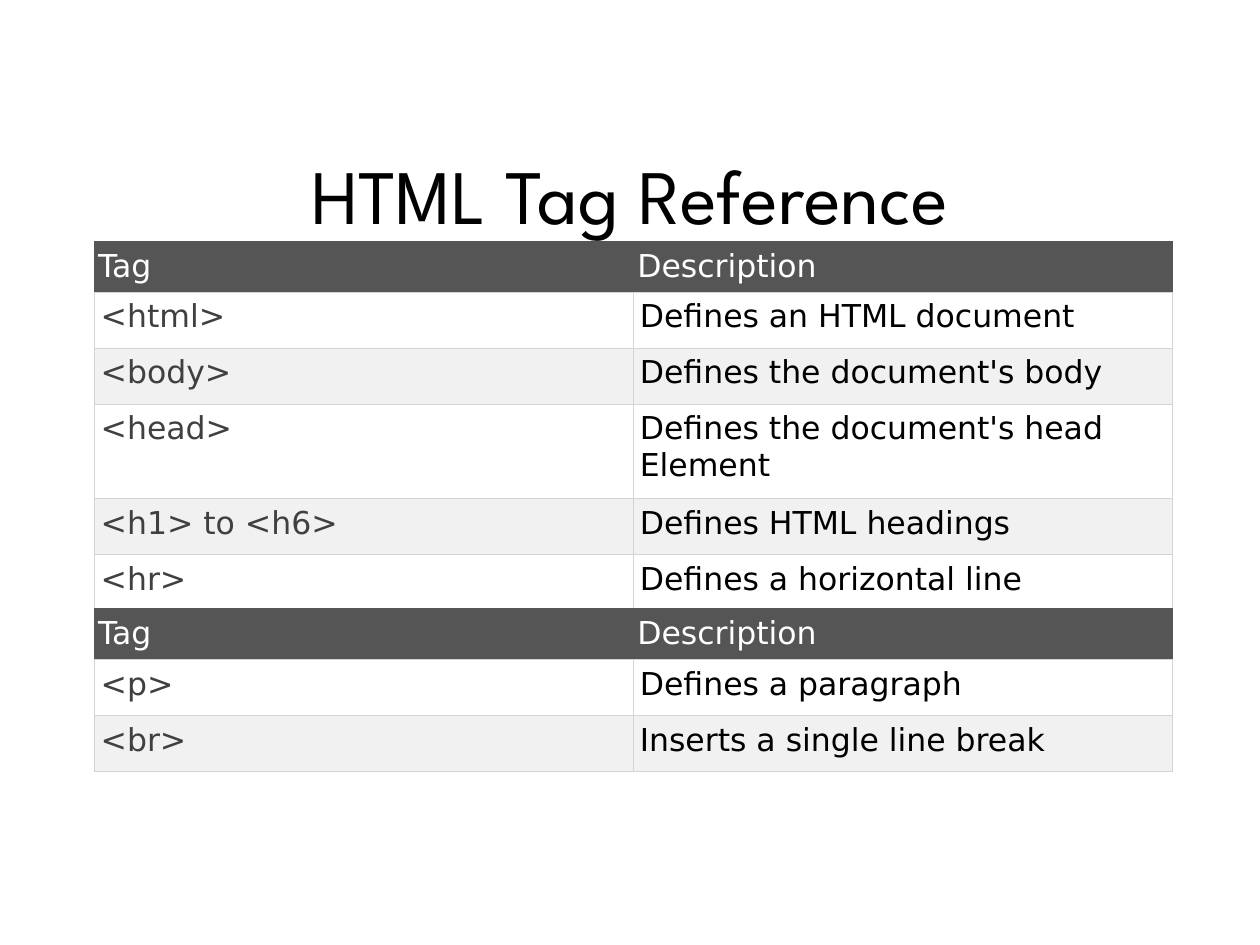
from dataclasses import dataclass

from lxml import etree
from pptx import Presentation
from pptx.dml.color import RGBColor
from pptx.enum import text
from pptx.oxml import ns
from pptx.util import Cm, Pt


@dataclass(frozen=True)
class Theme:
    title_font: str = "League Spartan"
    body_font: str = "DejaVu Sans"
    title_size: float = 44
    body_size: float = 18
    border_width: float = 0.34
    black: str = "000000"
    white: str = "FFFFFF"
    tag: str = "404040"
    header: str = "555555"
    band: str = "F1F1F1"
    border: str = "D4D4D4"


@dataclass(frozen=True)
class TagRow:
    tag: str
    description: str
    height: float = 1.13


@dataclass(frozen=True)
class TagTable:
    top: float
    rows: tuple[TagRow, ...]


THEME = Theme()
TABLE_LEFT, COLUMN_WIDTH = 1.9, 10.87
HEADER = TagRow("Tag", "Description", 0.99)
TABLES = (
    TagTable(4.87, (
        TagRow("<html>", "Defines an HTML document"),
        TagRow("<body>", "Defines the document's body"),
        TagRow("<head>", "Defines the document's head Element", 1.9),
        TagRow("<h1> to <h6>", "Defines HTML headings"),
        TagRow("<hr>", "Defines a horizontal line"),
    )),
    TagTable(12.27, (
        TagRow("<p>", "Defines a paragraph"),
        TagRow("<br>", "Inserts a single line break"),
    )),
)


def style_font(paragraph, name: str, size: float, color: str) -> None:
    paragraph.font.name = name
    paragraph.font.size = Pt(size)
    paragraph.font.color.rgb = RGBColor.from_string(color)


def set_borders(cell, side_color: str) -> None:
    """Give every edge a line; the bottom edge is always the light one."""
    properties = cell._tc.get_or_add_tcPr()
    for index, edge in enumerate(("lnL", "lnR", "lnT", "lnB")):
        line = etree.Element(ns.qn(f"a:{edge}"), w=str(Pt(THEME.border_width)))
        fill = etree.SubElement(line, ns.qn("a:solidFill"))
        color = THEME.border if edge == "lnB" else side_color
        etree.SubElement(fill, ns.qn("a:srgbClr"), val=color)
        properties.insert(index, line)


def fill_cell(cell, words: str, color: str, background: str,
              side_color: str, side_margin: float) -> None:
    cell.text = words
    style_font(cell.text_frame.paragraphs[0], THEME.body_font, THEME.body_size, color)
    cell.vertical_anchor = text.MSO_ANCHOR.TOP
    cell.margin_left = cell.margin_right = Cm(side_margin)
    cell.margin_top = cell.margin_bottom = Cm(0.13)
    cell.fill.solid()
    cell.fill.fore_color.rgb = RGBColor.from_string(background)
    set_borders(cell, side_color)


def add_title(slide, words: str) -> None:
    box = slide.shapes.add_textbox(Cm(1.27), Cm(3.18), Cm(22.86), Cm(1.47))
    frame = box.text_frame
    frame.word_wrap = True
    frame.vertical_anchor = text.MSO_ANCHOR.MIDDLE
    frame.margin_left = frame.margin_right = frame.margin_top = frame.margin_bottom = 0
    paragraph = frame.paragraphs[0]
    paragraph.text = words
    paragraph.alignment = text.PP_ALIGN.CENTER
    style_font(paragraph, THEME.title_font, THEME.title_size, THEME.black)


def add_tag_table(slide, tag_table: TagTable) -> None:
    rows = (HEADER, *tag_table.rows)
    table = slide.shapes.add_table(
        len(rows), 2, Cm(TABLE_LEFT), Cm(tag_table.top),
        Cm(2 * COLUMN_WIDTH), Cm(sum(row.height for row in rows))).table
    for column in table.columns:
        column.width = Cm(COLUMN_WIDTH)
    for index, row in enumerate(rows):
        table.rows[index].height = Cm(row.height)
        if row is HEADER:
            colors = (THEME.white, THEME.white)
            look = (THEME.header, THEME.header, 0.08)
        else:
            colors = (THEME.tag, THEME.black)
            look = (THEME.white if index % 2 else THEME.band, THEME.border, 0.13)
        for column, words in enumerate((row.tag, row.description)):
            fill_cell(table.cell(index, column), words, colors[column], *look)


def main() -> None:
    presentation = Presentation()
    presentation.slide_width, presentation.slide_height = Cm(25.4), Cm(19.05)
    slide = presentation.slides.add_slide(presentation.slide_layouts[6])

    # Heading
    add_title(slide, "HTML Tag Reference")

    # Two stacked tables, each with its own header row
    for tag_table in TABLES:
        add_tag_table(slide, tag_table)

    presentation.save("out.pptx")


if __name__ == "__main__":
    main()
